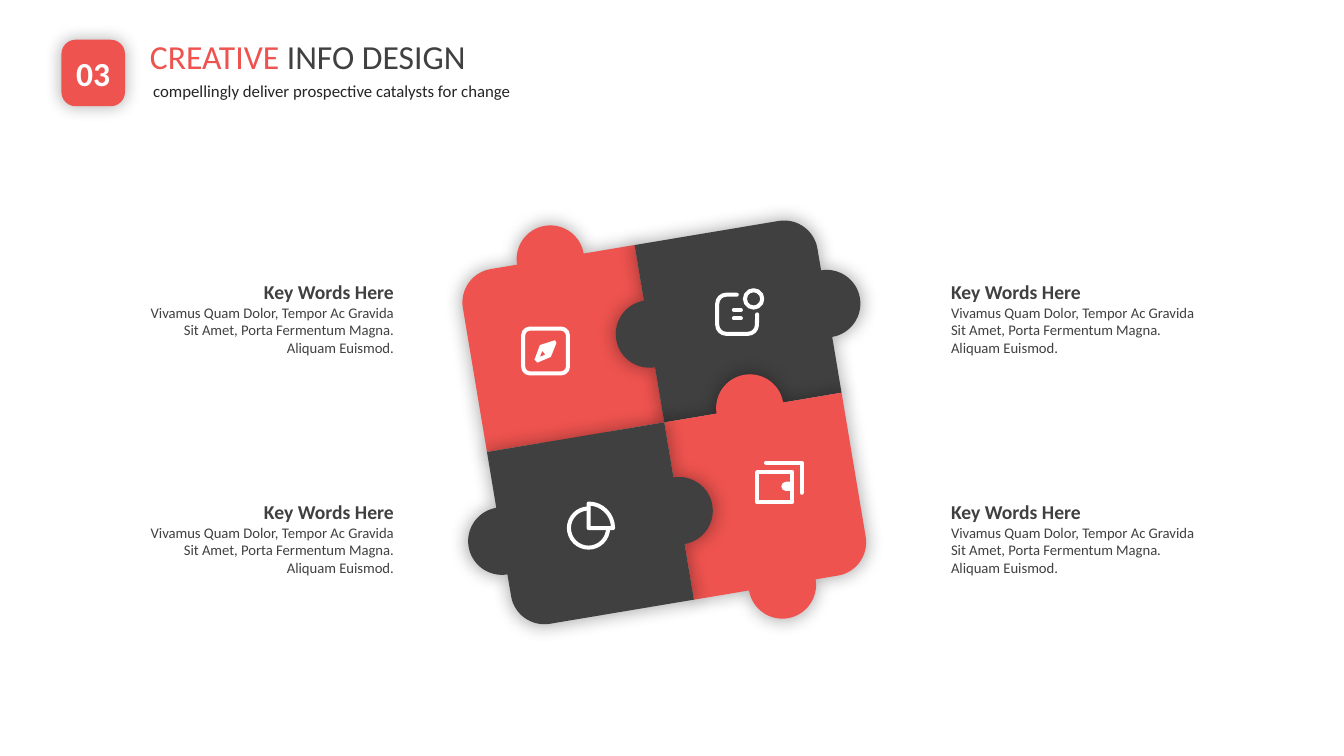
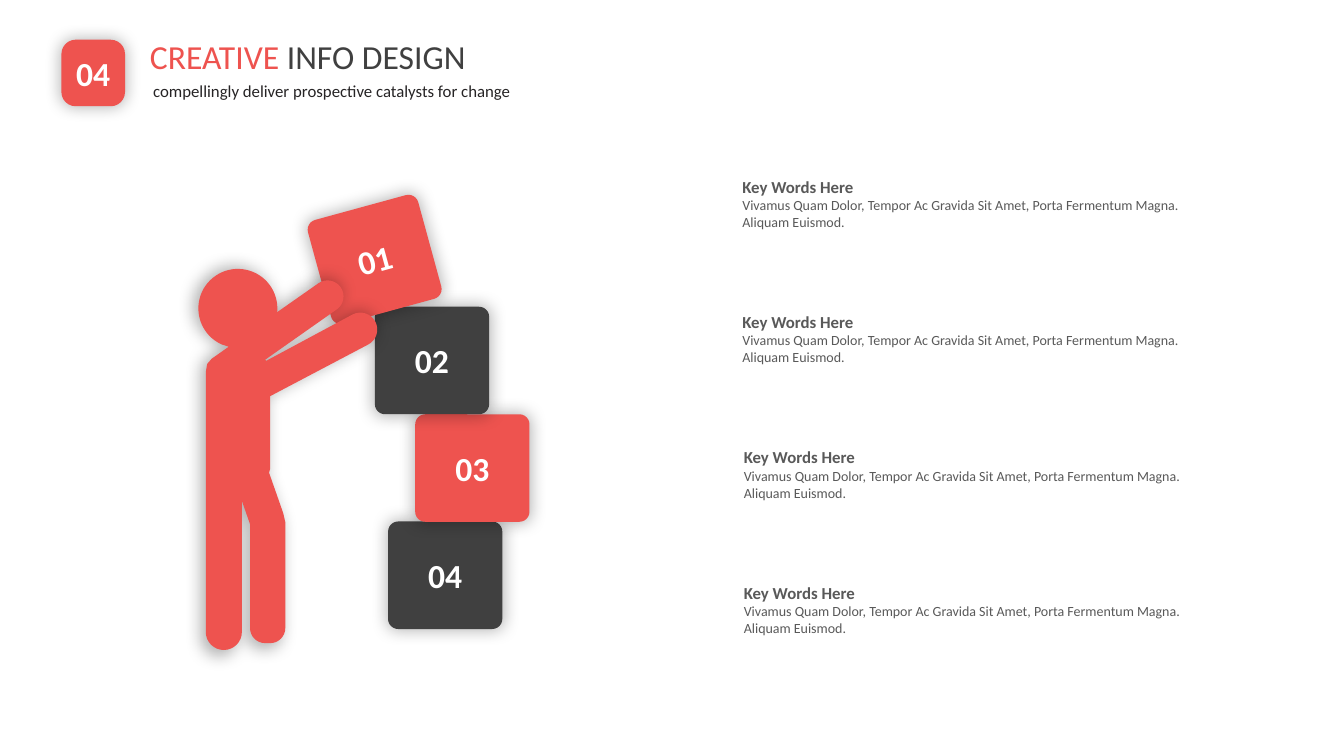
from math import ceil, cos, radians, sin, tan

from lxml import etree
from pptx import Presentation
from pptx.dml.color import RGBColor
from pptx.enum.shapes import MSO_CONNECTOR, MSO_SHAPE
from pptx.enum.text import MSO_ANCHOR, MSO_AUTO_SIZE, PP_ALIGN
from pptx.oxml.ns import qn
from pptx.util import Pt

LEFT, CENTER, RIGHT, JUSTIFY = PP_ALIGN.LEFT, PP_ALIGN.CENTER, PP_ALIGN.RIGHT, PP_ALIGN.JUSTIFY
MIDDLE = MSO_ANCHOR.MIDDLE
ROUND_RECT, OVAL, RECT = MSO_SHAPE.ROUNDED_RECTANGLE, MSO_SHAPE.OVAL, MSO_SHAPE.RECTANGLE
STRAIGHT = MSO_CONNECTOR.STRAIGHT

RED = RGBColor(0xEE, 0x53, 0x4F)
DARK = RGBColor(0x40, 0x40, 0x40)
GREY = RGBColor(0x59, 0x59, 0x59)
INK = RGBColor(0x26, 0x24, 0x25)
WHITE = RGBColor(0xFF, 0xFF, 0xFF)
FONT = "Calibri"
ICON_LINE = 2.9


def arc(cx, cy, r, start, end, widest=90):
    """A start point, then Bezier curves (control, control, end); clockwise degrees."""
    count = ceil((end - start) / widest)
    step = radians((end - start) / count)
    k = 4 / 3 * tan(step / 4)

    def at(a, pull):
        return cx + r * (cos(a) - pull * sin(a)), cy + r * (sin(a) + pull * cos(a))

    angles = [radians(start) + step * i for i in range(count + 1)]
    curves = [(at(a, k), at(b, -k), at(b, 0)) for a, b in zip(angles, angles[1:])]
    return [at(angles[0], 0)] + curves


def turned(path, degrees, origin, target):
    """Turn a path about origin and move origin to target."""
    a = radians(degrees)

    def turn(point):
        x, y = point[0] - origin[0], point[1] - origin[1]
        return target[0] + x * cos(a) - y * sin(a), target[1] + x * sin(a) + y * cos(a)

    return [turn(s) if len(s) == 2 else tuple(map(turn, s)) for s in path]


# Content
TITLE = [("CREATIVE", RED), (" INFO DESIGN", DARK)]
SUBTITLE = "compellingly deliver prospective catalysts for change"
HEADING = "Key Words Here"
BODY = "Vivamus Quam Dolor, Tempor Ac Gravida Sit Amet, Porta Fermentum Magna. Aliquam Euismod."

PUZZLE_CENTER = (474.5, 301.7)
PUZZLE_TILT, PIECE_SIDE, KNOB_R = -9.5, 128.4, 24.1
# colour, distance of the outer and the inner knob from the puzzle's axis
PIECES = [(RED, 61, 64), (DARK, 64.5, 64), (RED, 64, 62), (DARK, 64.5, 64)]
PUZZLE_CAPTIONS = [(x, y, align) for x, align in ((672.2, LEFT), (94.8, RIGHT))
                   for y in (179.7, 336.9)]

# label, left, top, colour, rotation
BLOCKS = [
    ("04", 277.2, 372.5, DARK, 0),
    ("03", 296.6, 295.9, RED, 0),
    ("02", 267.8, 219.1, DARK, 0),
    ("01", 226.8, 146.9, RED, -15.3),
]
STACK_CAPTION_LEFTS = [523.2, 523.2, 524.2, 524.2]
PERSON_CENTER, PERSON_TILT = (190.1, 318.2), 54.9
PERSON = [
    *arc(169.9, 220.3, 28.2, 112, 360, 45),         # head
    (198, 223), *arc(234, 211.7, 11.4, 235, 415),   # far arm
    (189.4, 257), (190.1, 257.8),
    *arc(257.4, 235.4, 12.1, 243, 423),             # near arm
    (193, 283), (193, 334.8), (192.2, 337.7), (202.3, 366.5), (203.8, 373),
    *arc(193, 448.6, 10.8, 0, 90), *arc(189.4, 448.6, 10.8, 90, 180),
    (178.6, 374.4), (172.8, 357.8),
    *arc(159.9, 451.4, 12.9, 0, 180),               # front leg
    (147, 265.7), (148, 260), (151.2, 256.3), (163.4, 247.7), (159.1, 246.2),
]

# Icons: open or closed strokes, outlined shapes, short bars
STROKES = [
    (arc(420.4, 377.2, 14, 0, 270), False),
    ([(420.4, 377.2)] + arc(420.4, 377.2, 17.5, -90, 0), True),
    ([(547.2, 330.5), (572.6, 330.5), (572.6, 352)], False),
    ([(540.8, 224.6)] + arc(534.2, 232, 6.5, 0, 90) + arc(518.8, 232, 6.5, 90, 180)
     + arc(518.8, 217, 6.5, 180, 270) + [(526.3, 210.5)], False),
]
OUTLINES = [
    (ROUND_RECT, 373.7, 234.7, 32, 32, 0.15),
    (RECT, 540.8, 337.2, 25.2, 21.4, None),
    (OVAL, 532.1, 207.3, 12.4, 12.4, None),
]
BARS = [(524.2, 221.4, 529.2), (524.2, 227.5, 529.2)]
WALLET_CLASP = [(564.5, 350.7)] + arc(561.4, 347.4, 3.3, 90, 270) + [(564.5, 344.1)]
NEEDLE = [(385.7, 246.5), (396.5, 243), (397.5, 245), (393.5, 255),
          (384, 259), (381.8, 257)]
NEEDLE_HOLE = [(387.4, 250.6), (389.6, 253.3), (385.7, 254.9)]


def add_runs(p, runs, align=LEFT, **fmt):
    p.alignment = align
    for text, color in runs:
        r = p.add_run()
        r.text = text
        r.font.name = FONT
        r.font.color.rgb = color
        for name, value in fmt.items():
            setattr(r.font, name, value)


def add_shadow(sp):
    sp.shadow.inherit = False
    effects = sp.element.spPr.find(qn("a:effectLst"))
    shadow = etree.SubElement(effects, qn("a:outerShdw"), blurRad=str(Pt(12)),
                              sx="102000", sy="102000", algn="ctr", rotWithShape="0")
    color = etree.SubElement(shadow, qn("a:srgbClr"), val="000000")
    etree.SubElement(color, qn("a:alpha"), val="30000")


def paint(sp, color):
    sp.shadow.inherit = False
    sp.fill.solid()
    sp.fill.fore_color.rgb = color
    sp.line.fill.background()


def draw_line(sp):
    sp.line.color.rgb = WHITE
    sp.line.width = Pt(ICON_LINE)
    sp.element.spPr.find(qn("a:ln")).set("cap", "rnd")


def outline(sp):
    sp.shadow.inherit = False
    sp.fill.background()
    draw_line(sp)


def add_path(slide, *contours, close=True):
    """A freeform whose steps are points or Bezier curves."""
    builder, steps = None, []
    for contour in contours:
        ends = [s if len(s) == 2 else s[-1] for s in contour]
        (x, y), *rest = [(Pt(px), Pt(py)) for px, py in ends]
        if builder is None:
            builder = slide.shapes.build_freeform(x, y)
        else:
            builder.move_to(x, y)
        builder.add_line_segments(rest, close=close)
        steps += contour[1:]
    sp = builder.convert_to_shape()
    lines = list(sp.element.iter(qn("a:lnTo")))
    for line, step in zip(lines, steps):
        if len(step) == 3:
            curve = etree.Element(qn("a:cubicBezTo"))
            for x, y in step:
                etree.SubElement(curve, qn("a:pt"), x=str(Pt(x) - sp.left),
                                 y=str(Pt(y) - sp.top))
            line.getparent().replace(line, curve)
    return sp


def add_tile(slide, label, x, y, w, h, color, radius, rotation=0):
    sp = slide.shapes.add_shape(ROUND_RECT, Pt(x), Pt(y), Pt(w), Pt(h))
    sp.adjustments[0] = radius
    sp.rotation = rotation
    paint(sp, color)
    add_shadow(sp)
    tf = sp.text_frame
    tf.vertical_anchor = MIDDLE
    add_runs(tf.paragraphs[0], [(label, WHITE)], CENTER, size=Pt(24), bold=True)


def add_textbox(slide, x, y, w, h):
    tf = slide.shapes.add_textbox(Pt(x), Pt(y), Pt(w), Pt(h)).text_frame
    tf.word_wrap = True
    return tf


def add_caption(slide, x, y, w, h, color, sizes, align=LEFT):
    tf = add_textbox(slide, x, y, w, h)
    p = tf.paragraphs[0]
    p.line_spacing = 2.0
    add_runs(p, [(HEADING, color)], align, size=Pt(sizes[0]), bold=True)
    add_runs(tf.add_paragraph(), [(BODY, color)], align, size=Pt(sizes[1]))


def set_up_layout(prs):
    layout = prs.slide_layouts.get_by_name("Title Only")
    title = layout.placeholders[0]
    title.left, title.top, title.width, title.height = Pt(99.9), Pt(15), Pt(259), Pt(50.5)
    title.text_frame.vertical_anchor = MIDDLE
    return layout


def add_headed_slide(prs, layout, number):
    slide = prs.slides.add_slide(layout)
    tf = slide.shapes.title.text_frame
    tf.auto_size = MSO_AUTO_SIZE.NONE
    add_runs(tf.paragraphs[0], TITLE, size=Pt(24))
    tf = add_textbox(slide, 102.3, 54, 288, 21.6)
    add_runs(tf.paragraphs[0], [(SUBTITLE, INK)], JUSTIFY, size=Pt(12))
    add_tile(slide, number, 43.9, 28.4, 45.4, 47.5, RED, 0.224)
    return slide


def piece_path(index, outer, inner):
    """The top left piece, given quarter turns and the puzzle's tilt."""
    s, r = PIECE_SIDE, KNOB_R
    path = (arc(-s + r, -s + r, r, 180, 270) + arc(-outer, -s, r, 180, 360)
            + [(0, -s), (0, 0)] + arc(-inner, 0, r, 0, 180) + [(-s, 0)])
    return turned(path, 90 * index + PUZZLE_TILT, (0, 0), PUZZLE_CENTER)


def add_icons(slide):
    for path, closed in STROKES:
        outline(add_path(slide, path, close=closed))
    for kind, x, y, w, h, radius in OUTLINES:
        sp = slide.shapes.add_shape(kind, Pt(x), Pt(y), Pt(w), Pt(h))
        if radius:
            sp.adjustments[0] = radius
        outline(sp)
    for x1, y, x2 in BARS:
        bar = slide.shapes.add_connector(STRAIGHT, Pt(x1), Pt(y), Pt(x2), Pt(y))
        draw_line(bar)
        etree.SubElement(bar.element.spPr, qn("a:effectLst"))
    paint(add_path(slide, WALLET_CLASP), WHITE)
    paint(add_path(slide, NEEDLE, NEEDLE_HOLE), WHITE)


def add_person(slide):
    """Drawn lying, then stood up by the shape's own rotation."""
    lying = turned(PERSON, -PERSON_TILT, PERSON_CENTER, PERSON_CENTER)
    sp = add_path(slide, lying)
    middle = ((sp.left + sp.width / 2) / Pt(1), (sp.top + sp.height / 2) / Pt(1))
    [(x, y)] = turned([middle], PERSON_TILT, PERSON_CENTER, PERSON_CENTER)
    sp.left += Pt(x - middle[0])
    sp.top += Pt(y - middle[1])
    sp.rotation = PERSON_TILT
    paint(sp, RED)
    add_shadow(sp)


def build_puzzle_slide(prs, layout):
    slide = add_headed_slide(prs, layout, "03")
    for i, (color, outer, inner) in enumerate(PIECES):
        sp = add_path(slide, piece_path(i, outer, inner))
        paint(sp, color)
        add_shadow(sp)
    add_icons(slide)
    for x, y, align in PUZZLE_CAPTIONS:
        add_caption(slide, x, y, 193.7, 79, DARK, (14, 10.5), align)


def build_stack_slide(prs, layout):
    slide = add_headed_slide(prs, layout, "04")
    for label, x, y, color, rotation in BLOCKS:
        add_tile(slide, label, x, y, 81.6, 76.8, color, 0.094, rotation)
    add_person(slide)
    for i, x in enumerate(STACK_CAPTION_LEFTS):
        add_caption(slide, x, 108 + 96.72 * i, 352.6, 62, GREY, (12, 10))


def main():
    prs = Presentation()
    prs.slide_width, prs.slide_height = Pt(960), Pt(540)
    layout = set_up_layout(prs)
    build_puzzle_slide(prs, layout)
    build_stack_slide(prs, layout)
    prs.save("out.pptx")


if __name__ == "__main__":
    main()
